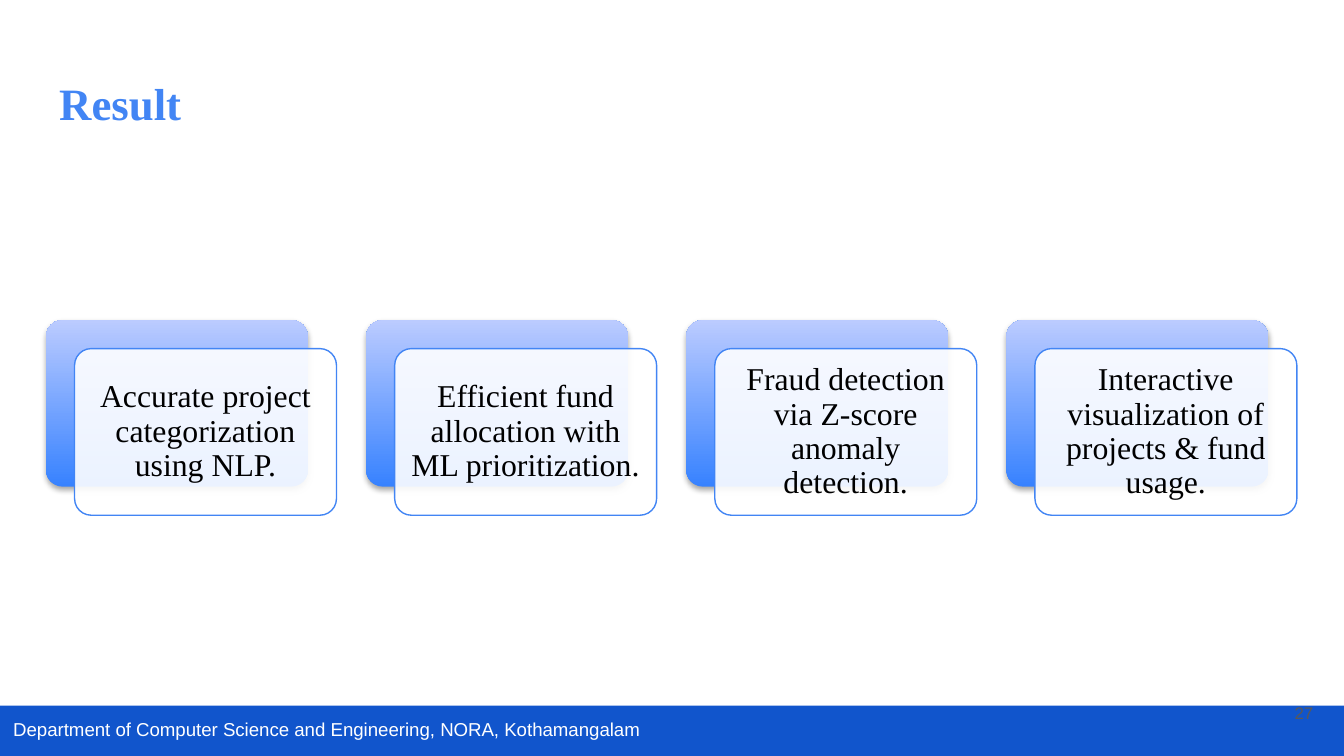
"""Build the Result slide with four outcome cards."""
from lxml import etree
from pptx import Presentation
from pptx.dml.color import RGBColor
from pptx.enum.shapes import MSO_SHAPE as Shape
from pptx.enum.text import MSO_ANCHOR as Anchor, PP_ALIGN as Align
from pptx.oxml.ns import qn
from pptx.util import Cm, Pt


def rgb(value):
    return RGBColor.from_string(value)


def write(box, text, size, color, font="Arial", bold=False, align=Align.LEFT,
          anchor=Anchor.MIDDLE, spacing=1.0, inset=0.25):
    frame = box.text_frame
    frame.word_wrap = True
    frame.vertical_anchor = anchor
    frame.margin_left = frame.margin_right = Cm(inset)
    frame.margin_top = frame.margin_bottom = Cm(inset)
    para = frame.paragraphs[0]
    para.alignment = align
    para.line_spacing = spacing
    span = para.add_run()
    span.text = text
    span.font.name = font
    span.font.size = Pt(size)
    span.font.bold = bold
    span.font.color.rgb = rgb(color)


deck = Presentation()
deck.slide_width = Cm(25.4)
deck.slide_height = Cm(14.29)
page = deck.slides.add_slide(deck.slide_layouts[6])
shapes = page.shapes

footer_bar = shapes.add_shape(Shape.RECTANGLE, Cm(0), Cm(13.34), Cm(25.4), Cm(0.95))
footer_bar.shadow.inherit = False
footer_bar.fill.solid()
footer_bar.fill.fore_color.rgb = rgb("1155CC")
footer_bar.line.fill.background()

footer = shapes.add_textbox(Cm(0), Cm(13.36), Cm(19), Cm(0.93))
write(footer, "Department of Computer Science and Engineering, NORA, Kothamangalam",
      10, "FFFFFF", anchor=Anchor.TOP)

title = shapes.add_textbox(Cm(0.87), Cm(1.24), Cm(23.67), Cm(1.6))
write(title, "Result", 24, "4285F4", font="Times New Roman", bold=True, spacing=0.8)

page_number = shapes.add_textbox(Cm(23.55), Cm(12.95), Cm(1.52), Cm(1.09))
write(page_number, "27", 9, "595959", align=Align.RIGHT, spacing=0.9)

results = [
    "Accurate project categorization using NLP.",
    "Efficient fund allocation with ML prioritization.",
    "Fraud detection via Z-score anomaly detection.",
    "Interactive visualization of projects & fund usage.",
]
left, top, width, height = 0.87, 6.05, 4.95, 3.15
step, offset = 6.05, 0.54

for index, result in enumerate(results):
    x = left + index * step
    backing = shapes.add_shape(Shape.ROUNDED_RECTANGLE, Cm(x), Cm(top), Cm(width), Cm(height))
    card = shapes.add_shape(Shape.ROUNDED_RECTANGLE, Cm(x + offset), Cm(top + offset),
                            Cm(width), Cm(height))
    for box in (backing, card):
        box.adjustments[0] = 0.1
        box.shadow.inherit = False

    backing.line.fill.background()
    backing.fill.gradient()
    backing.fill.gradient_angle = 90
    for stop, position, color in zip(backing.fill.gradient_stops, (0, 1), ("3782FF", "BBCBFF")):
        stop.position = position
        stop.color.rgb = rgb(color)
    effects = backing._element.spPr.find(qn("a:effectLst"))
    shadow = etree.SubElement(effects, qn("a:outerShdw"), blurRad=str(Pt(3.1)),
                              dist=str(Pt(1.8)), dir="5400000", rotWithShape="0")
    shade = etree.SubElement(shadow, qn("a:srgbClr"), val="000000")
    etree.SubElement(shade, qn("a:alpha"), val="35000")

    card.fill.solid()
    card.fill.fore_color.rgb = rgb("FFFFFF")
    white = card._element.spPr.find(qn("a:solidFill")).find(qn("a:srgbClr"))
    etree.SubElement(white, qn("a:alpha"), val="90000")
    card.line.color.rgb = rgb("4285F4")
    card.line.width = Pt(0.75)
    write(card, result, 17, "000000", font="Times New Roman", align=Align.CENTER,
          spacing=0.9, inset=0.15)

deck.save("out.pptx")
